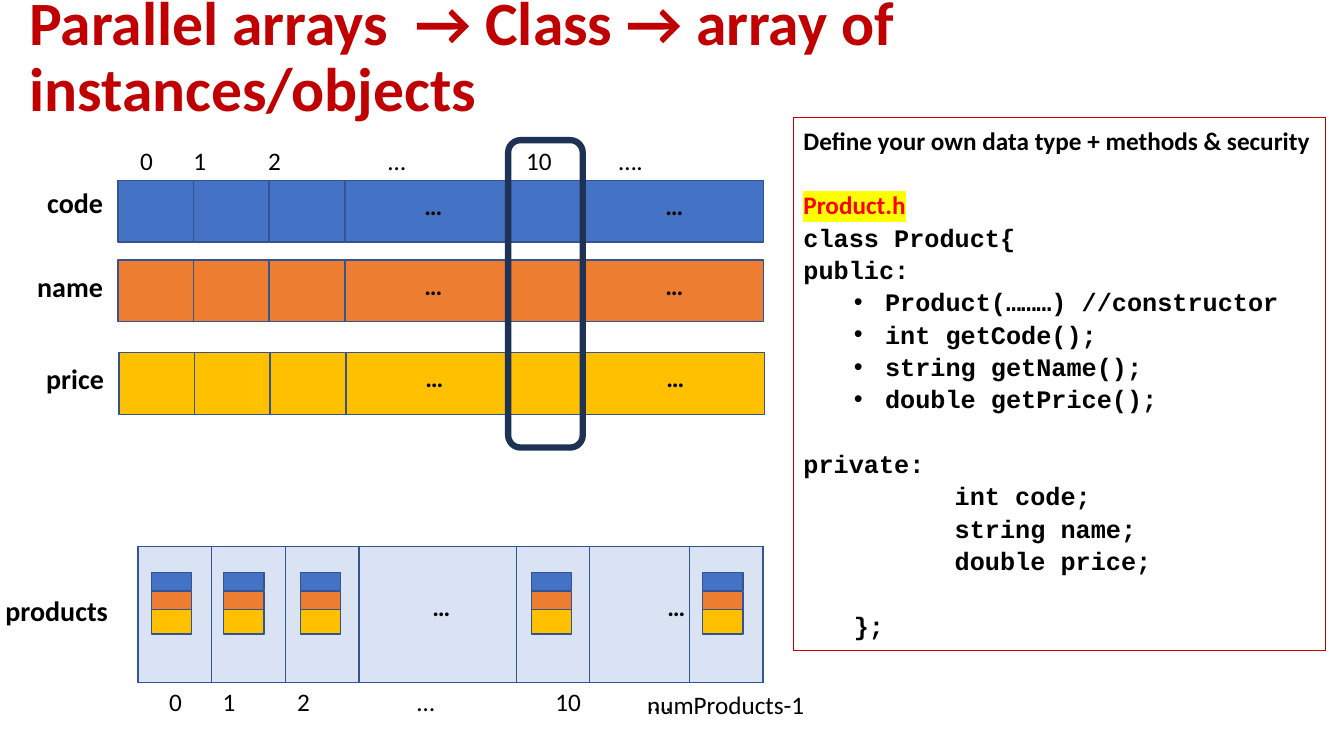
from pptx import Presentation
from pptx.dml.color import RGBColor
from pptx.enum.shapes import MSO_SHAPE
from pptx.enum.text import MSO_ANCHOR, MSO_AUTO_SIZE, PP_ALIGN
from pptx.oxml.ns import qn
from pptx.util import Inches, Pt
from lxml import etree

RECT, ROUND = MSO_SHAPE.RECTANGLE, MSO_SHAPE.ROUNDED_RECTANGLE
LEFT, RIGHT = PP_ALIGN.LEFT, PP_ALIGN.RIGHT
TOP, MIDDLE = MSO_ANCHOR.TOP, MSO_ANCHOR.MIDDLE
NO_FIT = MSO_AUTO_SIZE.NONE

BLACK = RGBColor(0x00, 0x00, 0x00)
DARK_RED = RGBColor(0xC0, 0x00, 0x00)
RED = RGBColor(0xFF, 0x00, 0x00)
BLUE = RGBColor(0x44, 0x72, 0xC4)
ORANGE = RGBColor(0xED, 0x7D, 0x31)
GOLD = RGBColor(0xFF, 0xC0, 0x00)
PALE = RGBColor(0xDA, 0xE3, 0xF3)
EDGE = RGBColor(0x32, 0x54, 0x91)
NAVY = RGBColor(0x1E, 0x32, 0x56)
YELLOW = RGBColor(0xFF, 0xFF, 0x00)

INDEXES = ["0", "1", "2", "…", "10", "…."]
INDEX_TABS = [0.53, 1.27, 2.46, 3.83, 4.75]
LINE = 23.1  # code line pitch in points

# Text, style and whether a one-line gap comes before
CODE = [
    ("Define your own data type + methods & security", "heading", False),
    ("Product.h", "file", True),
    ("class Product{", "code", False),
    ("public:", "code", False),
    ("Product(………) //constructor", "bullet", False),
    ("int getCode();", "bullet", False),
    ("string getName();", "bullet", False),
    ("double getPrice();", "bullet", False),
    ("private:", "code", True),
    ("int code;", "member", False),
    ("string name;", "member", False),
    ("double price;", "member", False),
    ("};", "end", True),
]
# Left margin and first-line indent in inches
INDENTS = {"bullet": (0.81, -0.31), "member": (1.5, 0), "end": (0.5, 0)}


def add_run(p, text, **fmt):
    r = p.add_run()
    r.text = text
    r.font.color.rgb = fmt.pop("color", BLACK)
    for key, value in {"size": Pt(18), "name": "Calibri", **fmt}.items():
        setattr(r.font, key, value)
    return r


def add_box(s, x, y, w, h, fill=None, line=EDGE, width=1, kind=RECT):
    sp = s.shapes.add_shape(kind, Inches(x), Inches(y), Inches(w), Inches(h))
    sp.shadow.inherit = False
    if fill is None:
        sp.fill.background()
    else:
        sp.fill.solid()
        sp.fill.fore_color.rgb = fill
    sp.line.color.rgb = line
    sp.line.width = Pt(width)
    return sp


def add_label(s, x, y, w, text, h=0.4, align=LEFT, inset=0.1, **fmt):
    tf = s.shapes.add_textbox(Inches(x), Inches(y), Inches(w), Inches(h)).text_frame
    tf.word_wrap = True
    tf.margin_left = Inches(inset)
    p = tf.paragraphs[0]
    p.alignment = align
    add_run(p, text, **fmt)
    return p


def add_title(s, x, y, w, h):
    title = s.shapes.title
    box = {"left": x, "top": y, "width": w, "height": h}
    for key, value in box.items():
        setattr(title, key, Inches(value))
    tf = title.text_frame
    tf.word_wrap, tf.auto_size, tf.vertical_anchor = True, NO_FIT, MIDDLE
    p = tf.paragraphs[0]
    p.alignment, p.line_spacing = LEFT, 0.9
    add_run(p, "Parallel arrays  → Class → array of instances/objects",
            size=Pt(44), bold=True, color=DARK_RED)


def add_indexes(s, x, y, w):
    p = add_label(s, x, y, w, "\t".join(INDEXES))
    tabs = etree.SubElement(p._p.get_or_add_pPr(), qn("a:tabLst"))
    for stop in INDEX_TABS:
        etree.SubElement(tabs, qn("a:tab"), pos=str(Inches(stop)), algn="l")


def add_name(s, right, y, text):
    add_label(s, 0, y, right, text, h=0.44, align=RIGHT, inset=0,
              size=Pt(20), bold=True)


def add_array(s, x, y, w, h, cell, tenth, fill):
    """Cells 0 to 2, the long remainder, and cell 10 inside it."""
    for i in range(3):
        add_box(s, x + i * cell, y, cell, h, fill)
    add_box(s, x + 3 * cell, y, w - 3 * cell, h, fill)
    add_box(s, x + tenth, y, cell, h, fill)


def add_dots(s, y, *lefts):
    for x in lefts:
        add_label(s, x, y, 0.38, "…", bold=True)


def add_parallel_arrays(s, x, y):
    add_indexes(s, x + 0.12, y - 0.4, 5.39)
    rows = [("code", BLUE, 0, 0, 0), ("name", ORANGE, 0, 0.79, 0.04),
            ("price", GOLD, 0.01, 1.71, 0.04)]
    for name, fill, dx, dy, drop in rows:
        add_array(s, x + dx, y + dy, 6.4, 0.61, 0.75, 3.87, fill)
        add_name(s, x + dx - 0.05, y + dy + drop, name)
        add_dots(s, y + dy + 0.05, x + dx + 2.94, x + dx + 5.33)
    # Frame around the parallel entries at index 10
    add_box(s, x + 3.87, y - 0.4, 0.74, 3.05, line=NAVY, width=4.5, kind=ROUND)


def add_product(s, x, y):
    for fill, dy, h in [(BLUE, 0, 0.18), (ORANGE, 0.19, 0.18), (GOLD, 0.37, 0.24)]:
        add_box(s, x, y + dy, 0.4, h, fill)


def add_products(s, x, y):
    w, h, cell = 6.2, 1.35, 0.73
    add_array(s, x, y, w, h, cell, 3.75, PALE)
    add_box(s, x + w - cell, y, cell, h, PALE)
    add_name(s, x - 0.2, y + 0.42, "products")
    for dx in (0.13, 0.85, 1.61, 3.9, 5.6):
        add_product(s, x + dx, y + 0.26)
    add_dots(s, y + 0.4, x + 2.82, x + 5.15)
    add_indexes(s, x + 0.21, y + h - 0.01, 5.23)
    add_label(s, x + 4.95, y + h + 0.02, 2.09, "numProducts-1")


def add_class(s, x, y, w, h):
    tf = add_box(s, x, y, w, h, line=DARK_RED, width=0.75).text_frame
    tf.word_wrap, tf.auto_size, tf.vertical_anchor = True, NO_FIT, TOP
    for i, (text, style, gap) in enumerate(CODE):
        p = tf.paragraphs[0] if i == 0 else tf.add_paragraph()
        p.alignment, p.line_spacing = LEFT, Pt(LINE)
        p.space_before = Pt(LINE if gap else 0)
        font = "Calibri" if style in ("heading", "file") else "Courier New"
        r = add_run(p, text, name=font, bold=True,
                    color=RED if style == "file" else BLACK)
        if style == "file":
            mark = etree.Element(qn("a:highlight"))
            etree.SubElement(mark, qn("a:srgbClr"), val=str(YELLOW))
            r.font._element.find(qn("a:solidFill")).addnext(mark)
        if style in INDENTS:
            margin, indent = INDENTS[style]
            pPr = p._p.get_or_add_pPr()
            pPr.set("marL", str(Inches(margin)))
            pPr.set("indent", str(Inches(indent)))
            if style == "bullet":
                etree.SubElement(pPr, qn("a:buFont"), typeface="Arial")
                etree.SubElement(pPr, qn("a:buChar"), char="•")


def main():
    prs = Presentation()
    prs.slide_width, prs.slide_height = Inches(13.33), Inches(7.5)
    s = prs.slides.add_slide(prs.slide_layouts[5])
    add_title(s, 0.19, 0.11, 12.96, 0.94)
    add_parallel_arrays(s, 1.17, 1.79)
    add_products(s, 1.37, 5.42)
    add_class(s, 7.87, 1.17, 5.28, 5.28)
    prs.save("out.pptx")


if __name__ == "__main__":
    main()
